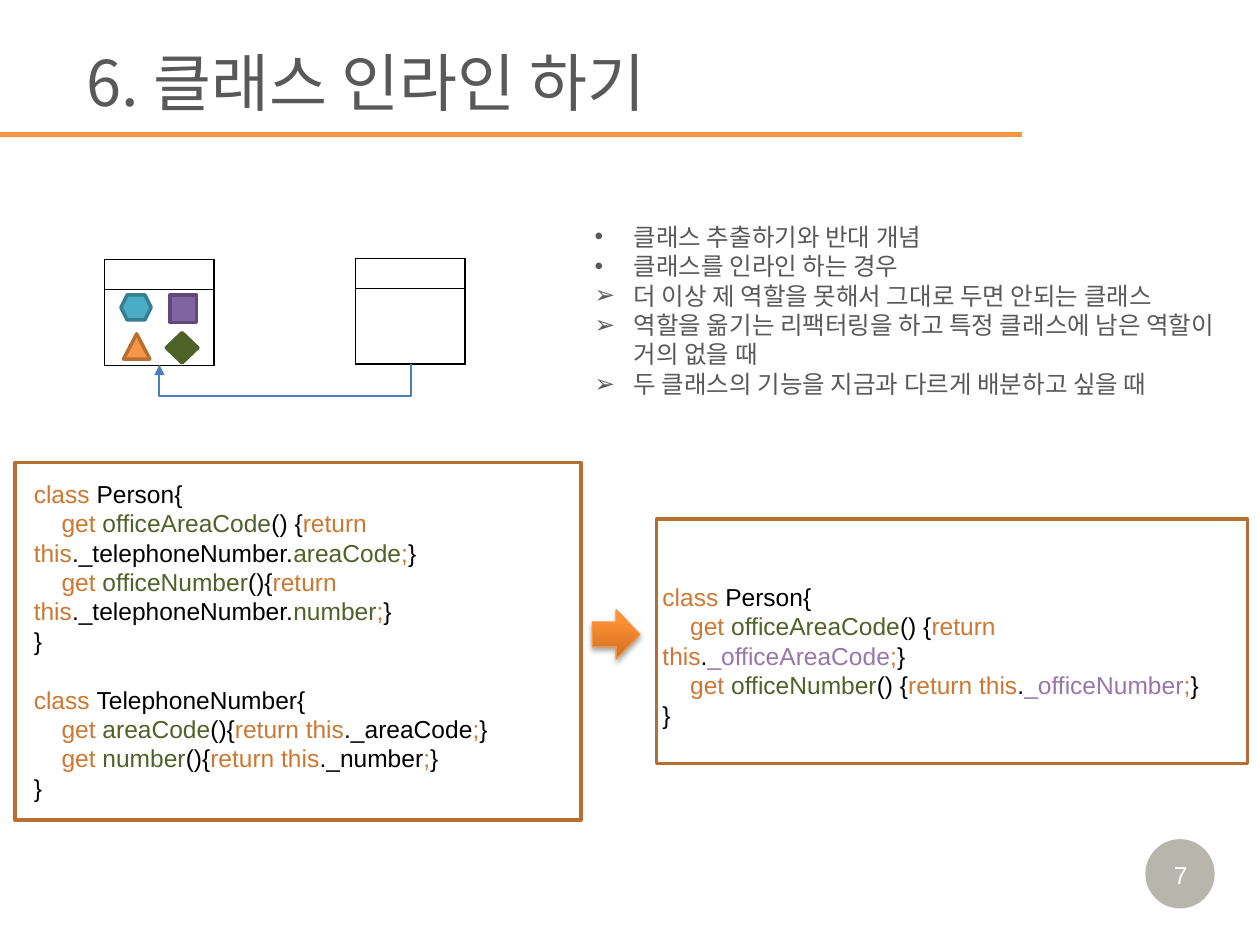
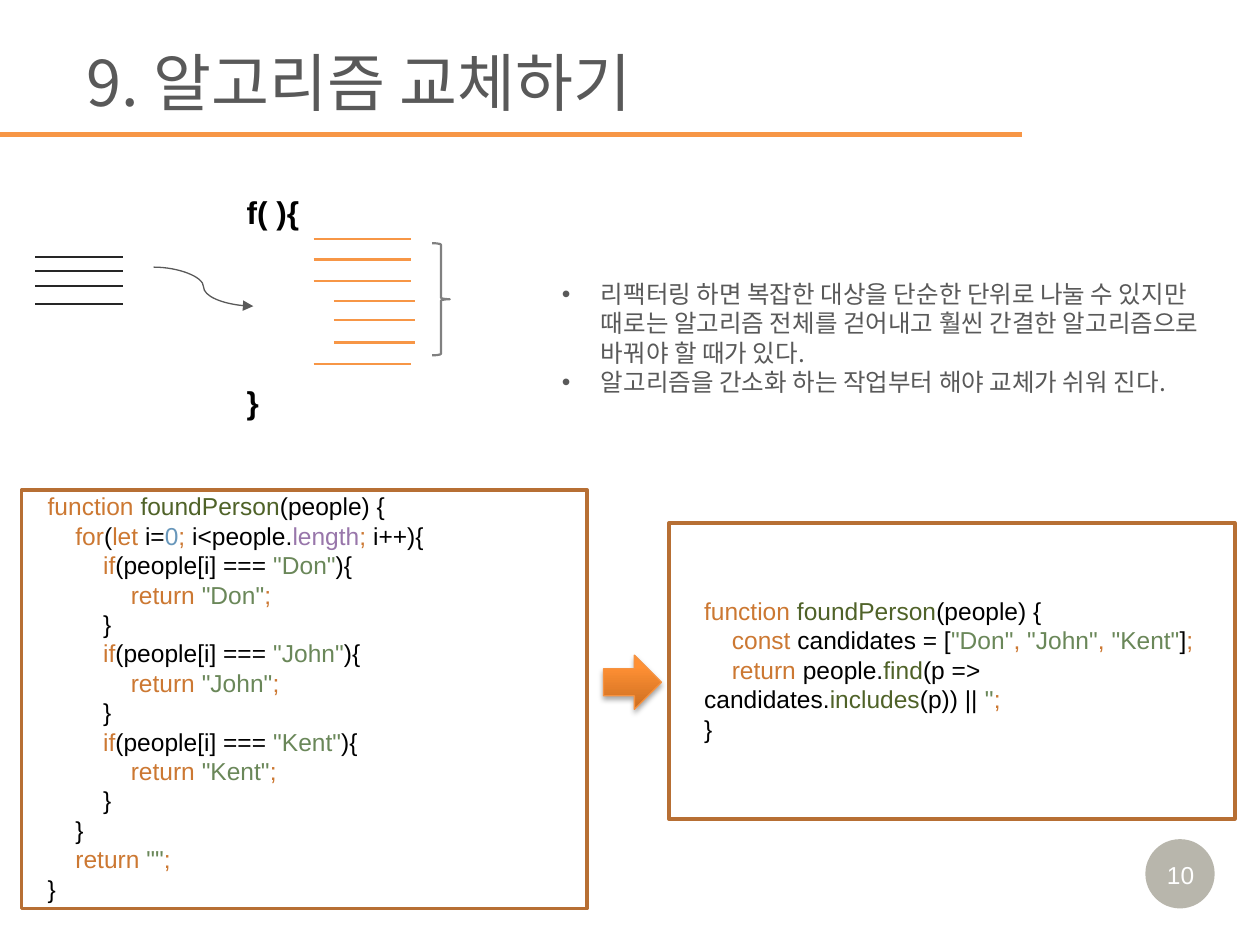
from lxml import etree
from pptx import Presentation
from pptx.dml.color import RGBColor
from pptx.enum.shapes import MSO_CONNECTOR, MSO_SHAPE
from pptx.enum.text import MSO_ANCHOR, MSO_AUTO_SIZE, PP_ALIGN
from pptx.oxml.ns import qn
from pptx.util import Inches, Pt

STRAIGHT, ELBOW, CURVE = MSO_CONNECTOR.STRAIGHT, MSO_CONNECTOR.ELBOW, MSO_CONNECTOR.CURVE
RECT, OVAL, ARROW = MSO_SHAPE.RECTANGLE, MSO_SHAPE.OVAL, MSO_SHAPE.RIGHT_ARROW
LEFT, CENTER, MIDDLE = PP_ALIGN.LEFT, PP_ALIGN.CENTER, MSO_ANCHOR.MIDDLE
KOREAN, LATIN = "Noto Sans CJK KR", "Arial"
LINE_PITCH = 16.8
CODE_INDENT = 0.22

COLORS = {
    "text": "595959", "white": "FFFFFF", "black": "000000", "badge": "4A452A",
    "orange": "F79646", "frame": "B76F34", "arrow_edge": "F69240",
    "arrow_dark": "CC6E20", "arrow_light": "FF9034",
    "teal": "4BACC6", "teal_edge": "377F92", "purple": "8064A2", "purple_edge": "5F4A78",
    "green": "4F6228", "blue": "4B7EBC", "brace": "808080", "dark": "262626",
    "keyword": "CC7832", "member": "9876AA", "string": "6A8759", "number": "6897BB",
}
# Letters that follow § in the code listings
SYNTAX = {"k": "keyword", "n": "black", "f": "green", "m": "member", "s": "string", "d": "number"}

PERSON_BEFORE = """§kclass §nPerson{
    §kget §fofficeAreaCode§n() {§kreturn this§n._telephoneNumber.§fareaCode§k;§n}
    §kget §fofficeNumber§n(){§kreturn this§n._telephoneNumber.§fnumber§k;§n}
}

§kclass §nTelephoneNumber{
    §kget §fareaCode§n(){§kreturn this§n._areaCode§k;§n}
    §kget §fnumber§n(){§kreturn this§n._number§k;§n}
}"""
PERSON_AFTER = """§kclass §nPerson{
    §kget §fofficeAreaCode§n() {§kreturn this§n.§m_officeAreaCode§k;§n}
    §kget §fofficeNumber§n() {§kreturn this§n.§m_officeNumber§k;§n}
}"""
NAME_TESTS = "\n".join(f"""        §kif§n(people[i] === §s"{name}"§n){{
            §kreturn §s"{name}"§k;
        }}""" for name in ("Don", "John", "Kent"))
FIND_BEFORE = f"""§kfunction §ffoundPerson§n(people) {{
    §kfor§n(§klet §ni=§d0§k; §ni<people.§mlength§k; §ni++){{
{NAME_TESTS}
    }}
    §kreturn §s""§k;
}}"""
FIND_AFTER = """§kfunction §ffoundPerson§n(people) {
    §kconst §ncandidates = [§s"Don"§k, §s"John"§k, §s"Kent"§n]§k;
    §kreturn §npeople.§ffind§n(p => candidates.§fincludes§n(p)) || §s''§k;
}"""

SLIDES = [
    dict(number="7", title="6. 클래스 인라인 하기", body=(4.62, 1.44, 5.18, 2.04),
         bullets=[("•", "클래스 추출하기와 반대 개념"),
                  ("•", "클래스를 인라인 하는 경우"),
                  ("➢", "더 이상 제 역할을 못해서 그대로 두면 안되는 클래스"),
                  ("➢", "역할을 옮기는 리팩터링을 하고 특정 클래스에 남은 역할이 거의 없을 때"),
                  ("➢", "두 클래스의 기능을 지금과 다르게 배분하고 싶을 때")],
         arrow=(4.7, 4.84, 0.38, 0.39),
         frames=[(0.12, 3.67, 4.49, 2.84), (5.21, 4.12, 4.69, 1.94)],
         code=[((0.17, 3.75, 4.37, 2.69), PERSON_BEFORE),
               ((5.16, 4.57, 4.8, 1.04), PERSON_AFTER)]),
    dict(number="10", title="9. 알고리즘 교체하기", body=(4.36, 1.73, 5.28, 1.9),
         bullets=[("•", "리팩터링 하면 복잡한 대상을 단순한 단위로 나눌 수 있지만 때로는 알고리즘 "
                        "전체를 걷어내고 훨씬 간결한 알고리즘으로 바꿔야 할 때가 있다."),
                  ("•", "알고리즘을 간소화 하는 작업부터 해야 교체가 쉬워 진다.")],
         arrow=(4.79, 5.2, 0.46, 0.43),
         frames=[(0.17, 3.89, 4.49, 3.32), (5.31, 4.15, 4.49, 2.35)],
         code=[((0.28, 3.85, 4.02, 3.4), FIND_BEFORE),
               ((5.49, 4.68, 4.24, 1.28), FIND_AFTER)]),
]


def write(tf, text, size=14, color="black", font=LATIN, bold=False, align=LEFT,
          pitch=LINE_PITCH, wrap=True):
    """Write lines; § plus a letter changes colour, leading spaces become an indent,
    and an empty line becomes space before the next paragraph."""
    tf.word_wrap = wrap
    tf.auto_size = MSO_AUTO_SIZE.NONE
    p, gap = None, 0
    for line in text.split("\n"):
        code = line.lstrip(" ")
        if not code:
            gap += pitch
            continue
        p = tf.paragraphs[0] if p is None else tf.add_paragraph()
        p.alignment = align
        p.space_before = Pt(gap)
        if pitch:
            p.line_spacing = Pt(pitch)
        gap = 0
        level = (len(line) - len(code)) // 4
        pPr = p._p.get_or_add_pPr()
        pPr.set("marL", "0")
        pPr.set("indent", str(Inches(CODE_INDENT * level)))
        first, *tokens = code.split("§")
        parts = [(color, first)] + [(SYNTAX[t[0]], t[1:]) for t in tokens]
        for part_color, part in parts:
            if part:
                r = p.add_run()
                r.text = part
                r.font.size, r.font.name, r.font.bold = Pt(size), font, bold
                r.font.color.rgb = RGBColor.from_string(COLORS[part_color])
                ea = etree.SubElement(r._r.get_or_add_rPr(), qn("a:ea"))
                ea.set("typeface", font)


def draw(s, kind, box, fill=None, line=None, width=2):
    sp = s.shapes.add_shape(kind, *map(Inches, box))
    sp.shadow.inherit = False
    if fill:
        sp.fill.solid()
        sp.fill.fore_color.rgb = RGBColor.from_string(COLORS[fill])
    else:
        sp.fill.background()
    if line:
        sp.line.color.rgb = RGBColor.from_string(COLORS[line])
        sp.line.width = Pt(width)
    else:
        sp.line.fill.background()
    return sp


prs = Presentation()
prs.slide_width, prs.slide_height = Inches(10), Inches(7.5)
lines = []

# Parts that every slide has
for page in SLIDES:
    s = prs.slides.add_slide(prs.slide_layouts[0])
    title, body = s.placeholders
    for sp, box in ((title, (0.59, 0.29, 9.41, 0.71)), (body, page["body"])):
        sp.left, sp.top, sp.width, sp.height = map(Inches, box)
        sp.text_frame.vertical_anchor = MIDDLE
    write(title.text_frame, page["title"], size=36, color="text", font=KOREAN, pitch=0)
    write(body.text_frame, "\n".join(text for _, text in page["bullets"]),
          color="text", font=KOREAN)
    for p, (mark, _) in zip(body.text_frame.paragraphs, page["bullets"]):
        pPr = p._p.get_or_add_pPr()
        pPr.set("marL", str(Inches(0.31)))
        pPr.set("indent", str(Inches(-0.31)))
        etree.SubElement(pPr, qn("a:buFont")).set("typeface", LATIN)
        etree.SubElement(pPr, qn("a:buChar")).set("char", mark)

    badge = draw(s, OVAL, (9.09, 6.66, 0.55, 0.55), fill="badge")
    rgb = badge._element.spPr.find(".//" + qn("a:srgbClr"))
    etree.SubElement(rgb, qn("a:alpha")).set("val", "39000")
    number = s.shapes.add_textbox(*map(Inches, (9.15, 6.78, 0.44, 0.34)))
    write(number.text_frame, page["number"], color="white", align=CENTER, wrap=False)

    arrow = draw(s, ARROW, page["arrow"], line="arrow_edge", width=0.75)
    arrow.fill.gradient()
    arrow.fill.gradient_angle = 90
    stops = zip(arrow.fill.gradient_stops, ((0, "arrow_dark"), (0.8, "arrow_light")))
    for stop, (position, color) in stops:
        stop.position = position
        stop.color.rgb = RGBColor.from_string(COLORS[color])
    effects = arrow._element.spPr.find(qn("a:effectLst"))
    shadow = etree.SubElement(effects, qn("a:outerShdw"), blurRad=str(Pt(3.1)),
                              dist=str(Pt(1.8)), dir="5400000", rotWithShape="0")
    rgb = etree.SubElement(shadow, qn("a:srgbClr"), val=COLORS["black"])
    etree.SubElement(rgb, qn("a:alpha")).set("val", "35000")

    for box in page["frames"]:
        draw(s, RECT, box, line="frame")
    for box, code in page["code"]:
        write(s.shapes.add_textbox(*map(Inches, box)).text_frame, code)
    lines.append((s, STRAIGHT, (0, 1.07, 8.11, 1.07), "orange", 3))

inline_class, replace_algorithm = prs.slides

# Two class boxes and the members of the first
for x, y in ((0.83, 2.06), (2.82, 2.05)):
    frame = inline_class.shapes.add_table(2, 1, *map(Inches, (x, y, 0.87, 0.84)))
    table = frame.table
    table.first_row = table.horz_banding = False
    for row, height in zip(table.rows, (0.24, 0.6)):
        row.height = Inches(height)
        cell = row.cells[0]
        cell.margin_top = cell.margin_bottom = 0
        etree.SubElement(cell.text_frame.paragraphs[0]._p, qn("a:endParaRPr")).set("sz", "800")
        tcPr = cell._tc.get_or_add_tcPr()
        for side in ("lnL", "lnR", "lnT", "lnB"):
            ln = etree.SubElement(tcPr, qn("a:" + side), w=str(Pt(1)))
            solid = etree.SubElement(ln, qn("a:solidFill"))
            etree.SubElement(solid, qn("a:srgbClr"), val=COLORS["black"])
        cell.fill.background()

for kind, box, fill, line in (
        (MSO_SHAPE.HEXAGON, (0.96, 2.34, 0.24, 0.2), "teal", "teal_edge"),
        (MSO_SHAPE.ISOSCELES_TRIANGLE, (0.98, 2.65, 0.21, 0.2), "orange", "frame"),
        (RECT, (1.35, 2.34, 0.21, 0.22), "purple", "purple_edge"),
        (MSO_SHAPE.DIAMOND, (1.32, 2.64, 0.25, 0.24), "green", "green")):
    draw(inline_class, kind, box, fill, line)
lines.append((inline_class, ELBOW, (2.26, 1.89, 2.27, 3.89), "blue", 1.25))

# Function outline with its body lines
sp = replace_algorithm.shapes.add_textbox(*map(Inches, (1.86, 1.48, 1.88, 1.92)))
write(sp.text_frame, "f( ){\n}", size=18, bold=True, pitch=21.6)
sp.text_frame.paragraphs[1].space_before = Pt(87)
draw(replace_algorithm, MSO_SHAPE.RIGHT_BRACE, (3.43, 1.93, 0.14, 0.89),
     line="brace", width=1.25)
for x1, x2, color, width, heights in (
        (2.49, 3.26, "orange", 1.25, (1.9, 2.06, 2.23, 2.89)),
        (2.65, 3.29, "orange", 1.5, (2.39, 2.54, 2.72)),
        (0.28, 0.98, "dark", 1, (2.04, 2.15, 2.27, 2.41))):
    for y in heights:
        lines.append((replace_algorithm, STRAIGHT, (x1, y, x2, y), color, width))
lines.append((replace_algorithm, CURVE, (1.22, 2.12, 2.01, 2.43), "text", 0.75))

for s, kind, ends, color, width in lines:
    c = s.shapes.add_connector(kind, *map(Inches, ends))
    c.line.color.rgb = RGBColor.from_string(COLORS[color])
    c.line.width = Pt(width)
    spPr = c._element.spPr
    etree.SubElement(spPr, qn("a:effectLst"))
    if kind != STRAIGHT:
        etree.SubElement(spPr.find(qn("a:ln")), qn("a:tailEnd")).set("type", "triangle")
    if kind == ELBOW:
        # A quarter turn, with the bend pushed below both class boxes
        spPr.find(qn("a:xfrm")).set("rot", "5400000")
        etree.SubElement(spPr.find(".//" + qn("a:avLst")), qn("a:gd"),
                         name="adj1", fmla="val 2636600")

prs.save("out.pptx")
